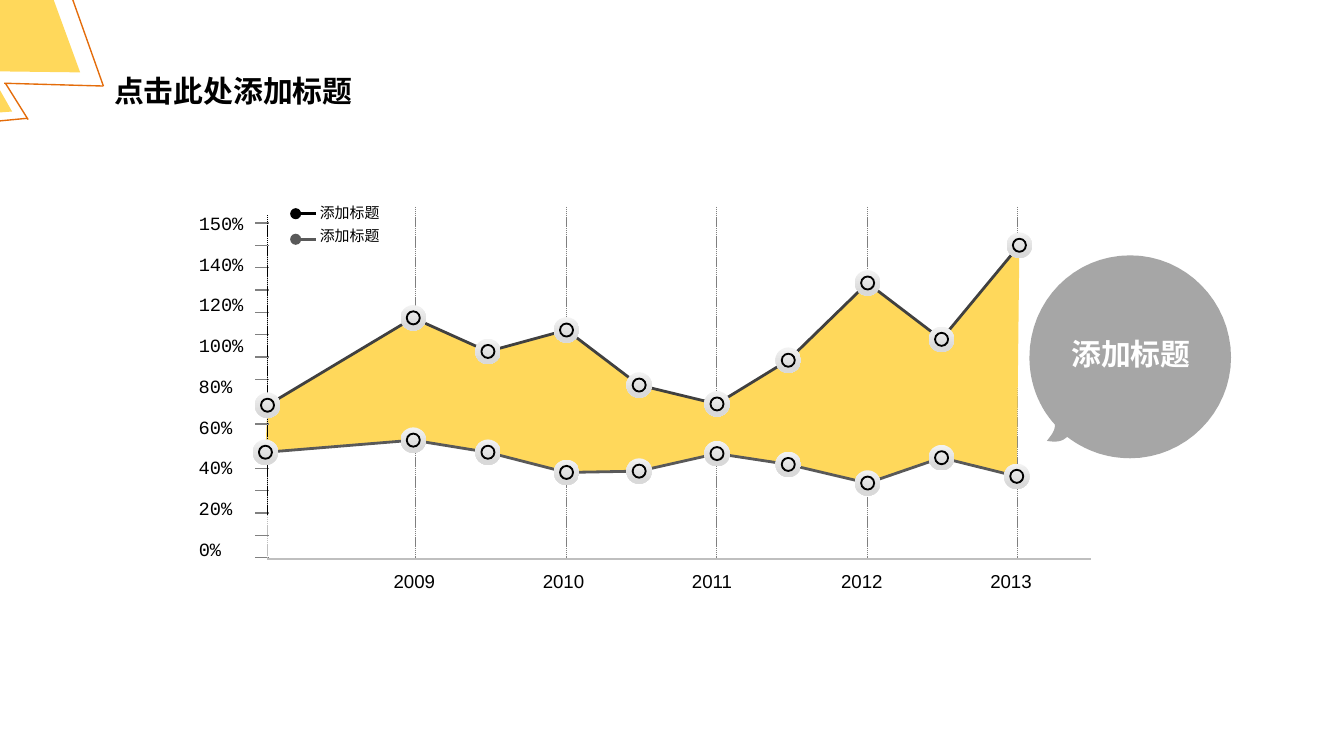
"""Build a slide with a two-line range chart, a legend and a speech bubble."""
from lxml import etree
from pptx import Presentation
from pptx import util as u
from pptx.dml.color import RGBColor
from pptx.enum import dml, shapes, text
from pptx.oxml.ns import qn

CJK, SANS, MONO = "Noto Sans CJK SC", "Arial", "Courier New"
YELLOW, ORANGE, GREY, BLACK = "FFD85B", "E46C0A", "808080", "000000"
TITLE = ("点击此处添加标题", (54, 35.3, 153.4, 26.6))
BUBBLE_TEXT = ("添加标题", (545, 176.4, 121.7, 26.6))
YEARS = ["2009", "2010", "2011", "2012", "2013"]
PERCENTS = ["0%", "20%", "40%", "60%", "80%", "100%", "120%", "140%", "150%"]
LEGEND = [("添加标题", BLACK, 114.5, 105.8), ("添加标题", "595959", 128.2, 118.1)]
UPPER = [(143.3, 217.1), (221.4, 170.3), (261.4, 188.3), (303.5, 176.8), (342.4, 206.3),
         (384.1, 216.4), (422.3, 193), (464.8, 151.6), (504.4, 181.8), (546.1, 131.4)]
LOWER = [(142.2, 242.3), (221.4, 235.8), (261.4, 242.3), (303.5, 253.1), (342.4, 252.4),
         (384.1, 243), (422.3, 248.8), (464.8, 258.8), (504.4, 245.2), (544.7, 255.2)]
CORNER_LINES = [(14.4, 63.4, -52.6, 69.8), (15.1, 64.1, 2.9, 44.6),
                (20.9, -51.1, 55.4, 46.1), (55.4, 46.1, 2.2, 44.6)]
CORNER_SHARD = [(-43.2, 63.4), (6.5, 59.8), (-17.3, 18)]
BUBBLE_START = (605.5, 136.8)
BUBBLE_CURVES = [
    ((635, 136.8), (659.5, 161.3), (659.5, 191.5)),
    ((659.5, 221), (635, 245.5), (605.5, 245.5)),
    ((592.6, 245.5), (581, 241.2), (571.7, 234)),
    ((568.8, 236.9), (565.2, 236.9), (560.9, 236.2)),
    ((563, 233.3), (565.2, 231.1), (565.2, 227.5)),
    ((556.6, 218.2), (551.5, 205.2), (551.5, 191.5)),
    ((551.5, 161.3), (575.3, 136.8), BUBBLE_START),
]


def rgb(value):
    return RGBColor.from_string(value)


def paint(sp, fill=None, line=None, width=1):
    sp.shadow.inherit = False
    if fill:
        sp.fill.solid()
        sp.fill.fore_color.rgb = rgb(fill)
    else:
        sp.fill.background()
    if line:
        sp.line.color.rgb = rgb(line)
        sp.line.width = u.Pt(width)
    else:
        sp.line.fill.background()
    return sp


def write(sp, words, box, size, font, color=BLACK, bold=False, wrap=False, align="LEFT"):
    for name, value in zip(("left", "top", "width", "height"), box):
        setattr(sp, name, u.Pt(value))
    tf = sp.text_frame
    frame = {"word_wrap": wrap, "auto_size": text.MSO_AUTO_SIZE.SHAPE_TO_FIT_TEXT,
             "vertical_anchor": text.MSO_ANCHOR.TOP}
    for name, value in frame.items():
        setattr(tf, name, value)
    p = tf.paragraphs[0]
    p.alignment = getattr(text.PP_ALIGN, align)
    r = p.add_run()
    r.text = words
    for name, value in {"size": u.Pt(size), "name": font, "bold": bold}.items():
        setattr(r.font, name, value)
    r.font.color.rgb = rgb(color)
    if font == CJK:
        etree.SubElement(r._r.get_or_add_rPr(), qn("a:ea")).set("typeface", font)


def label(s, words, box, size, font, **style):
    write(s.shapes.add_textbox(0, 0, 0, 0), words, box, size, font, **style)


def line(s, ends, color, width, dashed=False, oval=False):
    c = s.shapes.add_connector(shapes.MSO_CONNECTOR.STRAIGHT, *map(u.Pt, ends))
    c.line.color.rgb = rgb(color)
    c.line.width = u.Pt(width)
    if dashed:
        c.line.dash_style = dml.MSO_LINE.SQUARE_DOT
    if oval:
        etree.SubElement(c.line._get_or_add_ln(), qn("a:headEnd")).set("type", "oval")
    etree.SubElement(c._element.spPr, qn("a:effectLst"))


def outline(s, points, close=True, **style):
    points = [(u.Pt(x), u.Pt(y)) for x, y in points]
    builder = s.shapes.build_freeform(*points[0])
    builder.add_line_segments(points[1:], close=close)
    return paint(builder.convert_to_shape(), **style)


def circle(s, center, size, **style):
    x, y = (v - size / 2 for v in center)
    box = map(u.Pt, (x, y, size, size))
    return paint(s.shapes.add_shape(shapes.MSO_SHAPE.OVAL, *box), **style)


def marker(s, center):
    disc = circle(s, center, 13.7)
    disc.fill.gradient()
    disc.fill.gradient_angle = 270
    for stop, (pos, color) in zip(disc.fill.gradient_stops, [(0.02, "F2F2F2"), (0.82, "D9D9D9")]):
        stop.position = pos
        stop.color.rgb = rgb(color)
    circle(s, center, 7, line=BLACK)


def trace(start, curves, steps=16):
    points = [start]
    for a, b, end in curves:
        first = points[-1]
        for t in (i / steps for i in range(1, steps + 1)):
            weights = ((1 - t) ** 3, 3 * t * (1 - t) ** 2, 3 * t * t * (1 - t), t ** 3)
            points.append(tuple(sum(w * q[k] for w, q in zip(weights, (first, a, b, end)))
                                for k in (0, 1)))
    return points


def corner(s):
    box = map(u.Pt, (-89.3, -57.6, 167, 121))
    sp = paint(s.shapes.add_shape(shapes.MSO_SHAPE.ISOSCELES_TRIANGLE, *box), fill=YELLOW)
    sp.adjustments[0] = 0.51
    sp.rotation = 124.8
    outline(s, CORNER_SHARD, fill=YELLOW)
    for ends in CORNER_LINES:
        line(s, ends, ORANGE, 0.75)


def chart(s):
    for i, year in enumerate(YEARS):
        x = 222.5 + 80.64 * i
        line(s, (x, 110.9, x, 299.5), GREY, 0.25, dashed=True)
        label(s, year, (203.8 + 79.92 * i, 301.7, 38.9, 20.9), 10, SANS)
    outline(s, UPPER + LOWER[::-1], fill=YELLOW)
    for points, color in ((UPPER, "404040"), (LOWER, "595959")):
        outline(s, points, close=False, line=color, width=1.5)
    line(s, (143.3, 299.5, 584.6, 299.5), "BFBFBF", 1)
    for i in range(16):
        y = 298.8 - 11.95 * i
        line(s, (144, y, 136.8, y), GREY, 0.75)
    line(s, (143.3, 131, 143.3, 300.2), "BFBFBF", 0.25, dashed=True)
    line(s, (143.3, 115.2, 143.3, 275.8), BLACK, 0.25, dashed=True)
    for i, percent in enumerate(PERCENTS):
        label(s, percent, (99.4, 284.4 - 21.8 * i, 17.3 + 5.76 * len(percent), 19.4), 10, MONO)
    for words, color, y, top in LEGEND:
        line(s, (158.4, y, 169.2, y), color, 1.5, oval=True)
        label(s, words, (164.2, top, 46.8, 17.3), 8, CJK)
    for center in UPPER + LOWER:
        marker(s, center)


def main():
    prs = Presentation()
    prs.slide_width, prs.slide_height = u.Pt(720), u.Pt(405)
    s = prs.slides.add_slide(prs.slide_layouts[5])
    corner(s)
    write(s.shapes.title, *TITLE, 16, CJK, bold=True)
    outline(s, trace(BUBBLE_START, BUBBLE_CURVES), fill="A6A6A6")
    label(s, *BUBBLE_TEXT, 16, CJK, color="FFFFFF", bold=True, wrap=True, align="CENTER")
    chart(s)
    prs.save("out.pptx")


if __name__ == "__main__":
    main()
